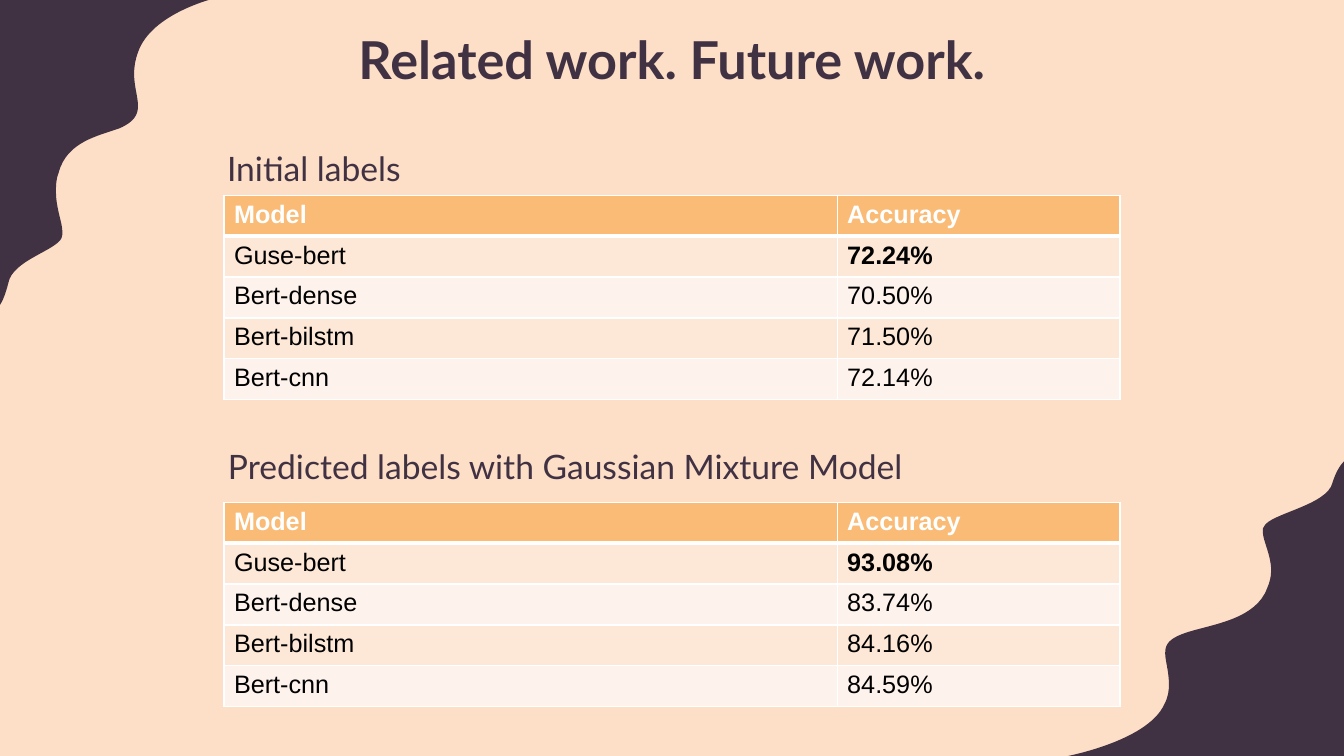
from pptx import Presentation
from pptx.dml.color import RGBColor
from pptx.enum.text import MSO_ANCHOR, PP_ALIGN
from pptx.oxml.ns import qn
from pptx.util import Pt
from lxml.etree import SubElement

PEACH = RGBColor(0xFD, 0xDE, 0xC7)
PLUM = RGBColor(0x41, 0x32, 0x43)
ORANGE = RGBColor(0xF9, 0xBB, 0x75)
BAND_DARK = RGBColor(0xFD, 0xE7, 0xD6)
BAND_LIGHT = RGBColor(0xFE, 0xF3, 0xEC)
WHITE = RGBColor(0xFF, 0xFF, 0xFF)
BLACK = RGBColor(0, 0, 0)

# Wavy corners: the corner point, the start of the wave, then its cubic curves
TOP_LEFT_CORNER = (-0.7, -1.4)
TOP_LEFT_START = (-0.7, 219)
TOP_LEFT_WAVE = [
    (2, 215, 4, 210, 6, 202), (9, 186, 40, 179, 44, 170),
    (44.6, 168.5, 44.6, 167, 44.6, 165.6), (44.6, 159, 40, 149, 40, 137),
    (40, 132.5, 40, 128, 42, 123), (48, 101, 70.5, 97, 85.7, 91.5),
    (95.8, 87, 98.6, 82, 98.6, 75.6), (98.6, 69, 95.8, 62, 95.8, 52.6),
    (95.8, 48, 96.5, 43, 98.6, 37.4), (108, 9.4, 154, -1.4, 154, -1.4),
]
BOTTOM_RIGHT_CORNER = (960.5, 540.7)
BOTTOM_RIGHT_START = (960.5, 329)
BOTTOM_RIGHT_WAVE = [
    (957, 332.6, 954, 337.7, 951.8, 344.9), (948, 361, 907, 367, 903, 376),
    (902, 377, 902, 378, 902, 379.4), (902, 386.6, 908, 396, 908, 407.5),
    (908, 412, 907, 416, 905, 420.5), (897, 442, 867.6, 445.7, 849, 451.4),
    (835, 455.8, 832.3, 460, 832.3, 466.6), (832.3, 472, 835, 479.5, 835, 489),
    (835, 493, 834.5, 498, 831.6, 503.3), (819.4, 530, 759.6, 540.7, 759.6, 540.7),
]

MODELS = ["Guse-bert", "Bert-dense", "Bert-bilstm", "Bert-cnn"]
INITIAL_ACCURACY = ["72.24%", "70.50%", "71.50%", "72.14%"]
PREDICTED_ACCURACY = ["93.08%", "83.74%", "84.16%", "84.59%"]


class SlideBuilder:
    heading_font = "Lato"
    table_font = "Arial"
    table_size = 18
    column_widths = (438, 202)
    row_height = 29.2

    def __init__(self, slide):
        self.slide = slide
        slide.background.fill.solid()
        slide.background.fill.fore_color.rgb = PEACH

    def add_run(self, paragraph, text, font, size, color, bold=False):
        run = paragraph.add_run()
        run.text = text
        run.font.name = font
        run.font.size = Pt(size)
        run.font.color.rgb = color
        run.font.bold = bold

    def wavy_corner(self, corner, start, curves):
        # Straight outline through the curve ends, in hundredths of a point
        ends = [start] + [curve[4:] for curve in curves]
        outline = self.slide.shapes.build_freeform(
            corner[0] * 100, corner[1] * 100, scale=Pt(1) / 100)
        outline.add_line_segments([(x * 100, y * 100) for x, y in ends], close=True)
        wave = outline.convert_to_shape()

        # Bend the segments into cubic curves
        left, top = (min(axis) for axis in zip(corner, *ends))
        segments = list(wave._element.iter(qn("a:lnTo")))[1:len(ends)]
        for segment, (x1, y1, x2, y2, *_) in zip(segments, curves):
            segment.tag = qn("a:cubicBezTo")
            for place, (x, y) in enumerate([(x1, y1), (x2, y2)]):
                control = SubElement(segment, qn("a:pt"), x=str(round((x - left) * 100)),
                                     y=str(round((y - top) * 100)))
                segment.insert(place, control)

        wave.shadow.inherit = False
        wave.fill.solid()
        wave.fill.fore_color.rgb = PLUM
        wave.line.fill.background()

    def heading(self, text, left, top, size, bold=False):
        box = self.slide.shapes.add_textbox(Pt(left), Pt(top), Pt(545), Pt(52))
        frame = box.text_frame
        frame.word_wrap = True
        frame.vertical_anchor = MSO_ANCHOR.MIDDLE
        paragraph = frame.paragraphs[0]
        paragraph.alignment = PP_ALIGN.CENTER
        self.add_run(paragraph, text, self.heading_font, size, PLUM, bold)

    def cell_borders(self, cell, top, bottom):
        properties = cell._tc.get_or_add_tcPr()
        for side, width in (("L", 1), ("R", 1), ("T", top), ("B", bottom)):
            line = SubElement(properties, qn(f"a:ln{side}"), w=str(Pt(width)))
            fill = SubElement(line, qn("a:solidFill"))
            SubElement(fill, qn("a:srgbClr"), val=str(WHITE))

    def accuracy_table(self, top, accuracies):
        rows = [("Model", "Accuracy"), *zip(MODELS, accuracies)]
        best = max(accuracies)
        table = self.slide.shapes.add_table(
            len(rows), 2, Pt(160), Pt(top), Pt(sum(self.column_widths)),
            Pt(self.row_height * len(rows))).table
        for column, width in zip(table.columns, self.column_widths):
            column.width = Pt(width)
        for r, row in enumerate(rows):
            table.rows[r].height = Pt(self.row_height)
            header = r == 0
            band = ORANGE if header else BAND_DARK if r % 2 else BAND_LIGHT
            for c, text in enumerate(row):
                cell = table.cell(r, c)
                # The rule under the header is thicker
                self.cell_borders(cell, top=3 if r == 1 else 1, bottom=3 if header else 1)
                cell.fill.solid()
                cell.fill.fore_color.rgb = band
                self.add_run(cell.text_frame.paragraphs[0], text, self.table_font,
                             self.table_size, WHITE if header else BLACK,
                             header or text == best)


def main():
    presentation = Presentation()
    presentation.slide_width, presentation.slide_height = Pt(960), Pt(540)
    builder = SlideBuilder(presentation.slides.add_slide(presentation.slide_layouts[6]))

    # Background waves
    builder.wavy_corner(TOP_LEFT_CORNER, TOP_LEFT_START, TOP_LEFT_WAVE)
    builder.wavy_corner(BOTTOM_RIGHT_CORNER, BOTTOM_RIGHT_START, BOTTOM_RIGHT_WAVE)

    # Title
    builder.heading("Related work. Future work.", 207.5, 16, 37.3, bold=True)

    # Results on initial labels
    builder.heading("Initial labels", -48.3, 94, 24)
    builder.accuracy_table(139.5, INITIAL_ACCURACY)

    # Results on predicted labels
    builder.heading("Predicted labels with Gaussian Mixture Model", 131.2, 307, 24)
    builder.accuracy_table(358.8, PREDICTED_ACCURACY)

    presentation.save("out.pptx")


if __name__ == "__main__":
    main()
